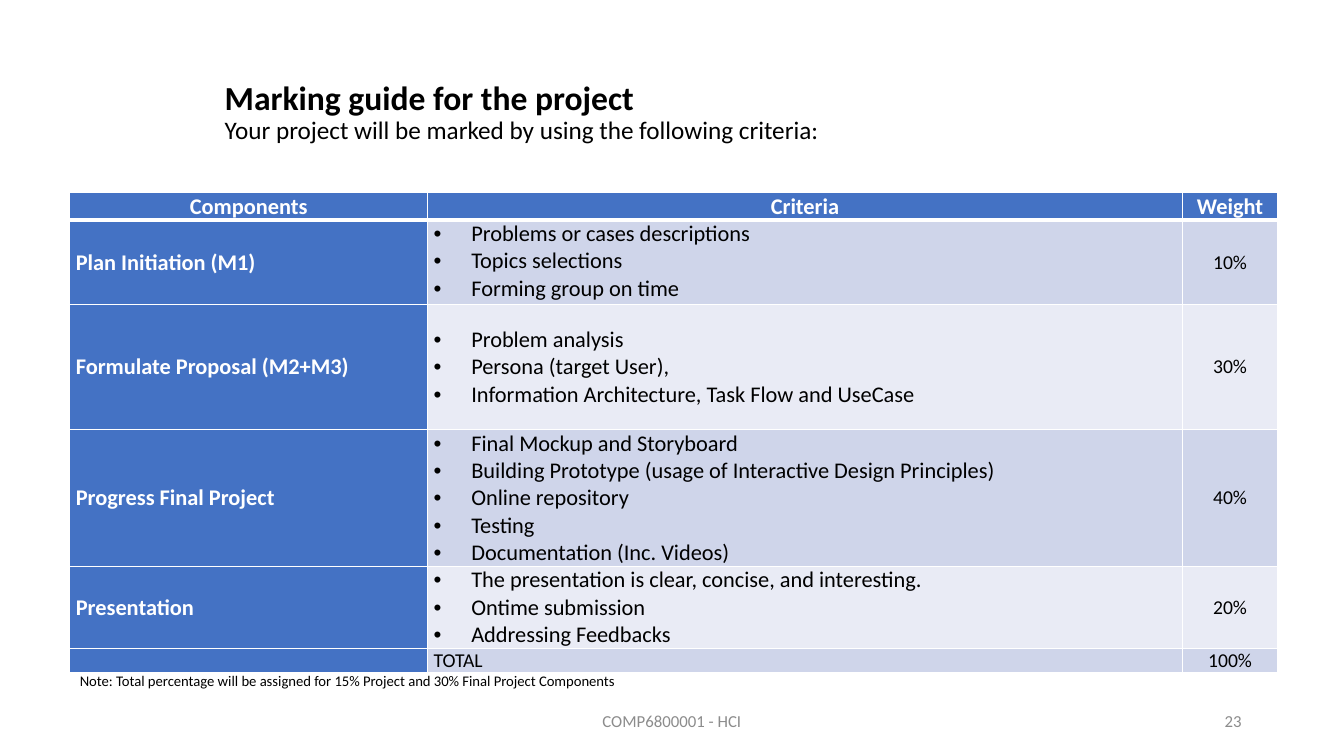
from pptx import Presentation
from pptx.dml.color import RGBColor
from pptx.enum import text
from pptx.oxml import parse_xml
from pptx.oxml.ns import nsdecls
from pptx.util import Pt

TITLE = "Marking guide for the project"
SUBTITLE = "Your project will be marked by using the following criteria:"
HEADINGS = ["Components", "Criteria", "Weight"]
COMPONENTS = [  # name, criteria, weight, row height, criteria anchor
    ("Plan Initiation (M1)",
     ["Problems or cases descriptions", "Topics selections", "Forming group on time"],
     "10%", 60.5, "TOP"),
    ("Formulate Proposal (M2+M3)",
     ["Problem analysis", "Persona (target User),",
      "Information Architecture, Task Flow and UseCase"],
     "30%", 89.3, "MIDDLE"),
    ("Progress Final Project",
     ["Final Mockup and Storyboard",
      "Building Prototype (usage of Interactive Design Principles)",
      "Online repository", "Testing", "Documentation (Inc. Videos)"],
     "40%", 97.7, "TOP"),
    ("Presentation",
     ["The presentation is clear, concise, and interesting.", "Ontime submission",
      "Addressing Feedbacks"],
     "20%", 58.6, "TOP"),
]
TOTAL = ["", "TOTAL", "100%"]
NOTE = "Note: Total percentage will be assigned for 15% Project and 30% Final Project Components"
FOOTER = "COMP6800001 - HCI"
PAGE_NUMBER = "23"

THEME = {
    "font": "Calibri",
    "ink": "000000", "muted": "8C8C8C", "white": "FFFFFF",
    "accent": "4472C4", "bands": ["CFD5EA", "E9EBF5"],
    "title": 24, "subtitle": 18, "body": 16, "small": 14, "footer": 12, "note": 10.5,
}
COLUMN_WIDTHS = [255.5, 539.3, 68]
TABLE_LEFT, TABLE_TOP = 49.9, 137.7
HEADER_HEIGHT, TOTAL_HEIGHT = 19.5, 17.1
BULLET_INDENT = 27
ALIGN, ANCHOR = text.PP_ALIGN, text.MSO_ANCHOR


def add_span(para, words, size, color="ink", bold=False):
    span = para.add_run()
    span.text = words
    font = span.font
    font.name, font.size, font.bold = THEME["font"], Pt(size), bold
    font.color.rgb = RGBColor.from_string(THEME[color])


def add_box(page, left, top, width, height, align=ALIGN.LEFT, anchor=ANCHOR.MIDDLE, wrap=True):
    """Add a text box and return its first paragraph."""
    frame = page.shapes.add_textbox(Pt(left), Pt(top), Pt(width), Pt(height)).text_frame
    frame.word_wrap, frame.vertical_anchor = wrap, anchor
    para = frame.paragraphs[0]
    para.alignment = align
    return para


def add_bullet(para):
    properties = para._p.get_or_add_pPr()
    properties.set("marL", str(Pt(BULLET_INDENT)))
    properties.set("indent", str(-Pt(BULLET_INDENT)))
    properties.append(parse_xml(f'<a:buFont {nsdecls("a")} typeface="Arial"/>'))
    properties.append(parse_xml(f'<a:buChar {nsdecls("a")} char="•"/>'))


def style_cell(cell, fill, top=1, bottom=1):
    """Set white borders (widths in points), then margins and fill."""
    for side, width in (("L", 1), ("R", 1), ("T", top), ("B", bottom)):
        cell._tc.get_or_add_tcPr().append(parse_xml(
            f'<a:ln{side} {nsdecls("a")} w="{Pt(width)}"><a:solidFill>'
            f'<a:srgbClr val="{THEME["white"]}"/></a:solidFill></a:ln{side}>'))
    cell.margin_left = cell.margin_right = Pt(4.3)
    cell.margin_top = cell.margin_bottom = 0
    cell.fill.solid()
    cell.fill.fore_color.rgb = RGBColor.from_string(fill)


def fill_cell(cell, lines, size, color="ink", bold=False, align=ALIGN.LEFT,
              anchor=ANCHOR.MIDDLE, bullets=False):
    cell.vertical_anchor = anchor
    frame = cell.text_frame
    for index, line in enumerate(lines):
        para = frame.add_paragraph() if index else frame.paragraphs[0]
        para.alignment = align
        if bullets:
            add_bullet(para)
        if line:
            add_span(para, line, size, color, bold)
        else:  # keeps an empty cell as low as its row
            para._p.append(parse_xml(f'<a:endParaRPr {nsdecls("a")} sz="{size * 100}"/>'))


def add_marking_table(page):
    heights = [HEADER_HEIGHT, *(item[3] for item in COMPONENTS), TOTAL_HEIGHT]
    table = page.shapes.add_table(
        len(heights), len(COLUMN_WIDTHS), Pt(TABLE_LEFT), Pt(TABLE_TOP),
        Pt(sum(COLUMN_WIDTHS)), Pt(sum(heights))).table
    for column, width in zip(table.columns, COLUMN_WIDTHS):
        column.width = Pt(width)
    for index, (row, height) in enumerate(zip(table.rows, heights)):
        row.height = Pt(height)
        for column, cell in enumerate(row.cells):
            band = THEME["bands"][(index - 1) % 2]
            style_cell(cell, THEME["accent"] if index == 0 or column == 0 else band,
                       top=3 if index == 1 else 1, bottom=3 if index == 0 else 1)

    body, small = THEME["body"], THEME["small"]
    for column, heading in enumerate(HEADINGS):
        fill_cell(table.cell(0, column), [heading], body, "white", True, ALIGN.CENTER, ANCHOR.TOP)
    for index, (name, criteria, weight, _, anchor) in enumerate(COMPONENTS, 1):
        fill_cell(table.cell(index, 0), [name], body, "white", True)
        fill_cell(table.cell(index, 1), criteria, body, anchor=ANCHOR[anchor], bullets=True)
        fill_cell(table.cell(index, 2), [weight], small, align=ALIGN.CENTER)
    for column, words in enumerate(TOTAL):
        fill_cell(table.cell(len(heights) - 1, column), [words], small,
                  align=ALIGN.CENTER if column == 2 else ALIGN.LEFT)


def main():
    deck = Presentation()
    deck.slide_width, deck.slide_height = Pt(960), Pt(540)
    page = deck.slides.add_slide(deck.slide_layouts[6])

    heading = add_box(page, 153.4, 28.8, 741, 104.4)
    heading.line_spacing = 0.9
    add_span(heading, TITLE, THEME["title"], bold=True)
    heading.add_line_break()
    add_span(heading, SUBTITLE, THEME["subtitle"])

    add_marking_table(page)

    note = add_box(page, TABLE_LEFT, 476.6, 404.6, 20, anchor=ANCHOR.TOP, wrap=False)
    add_span(note, NOTE, THEME["note"])
    footer = add_box(page, 318, 500.5, 324, 28.8, ALIGN.CENTER)
    add_span(footer, FOOTER, THEME["footer"], "muted")
    number = add_box(page, 678, 500.5, 216, 28.8, ALIGN.RIGHT)
    add_span(number, PAGE_NUMBER, THEME["footer"], "muted")

    deck.save("out.pptx")


if __name__ == "__main__":
    main()
